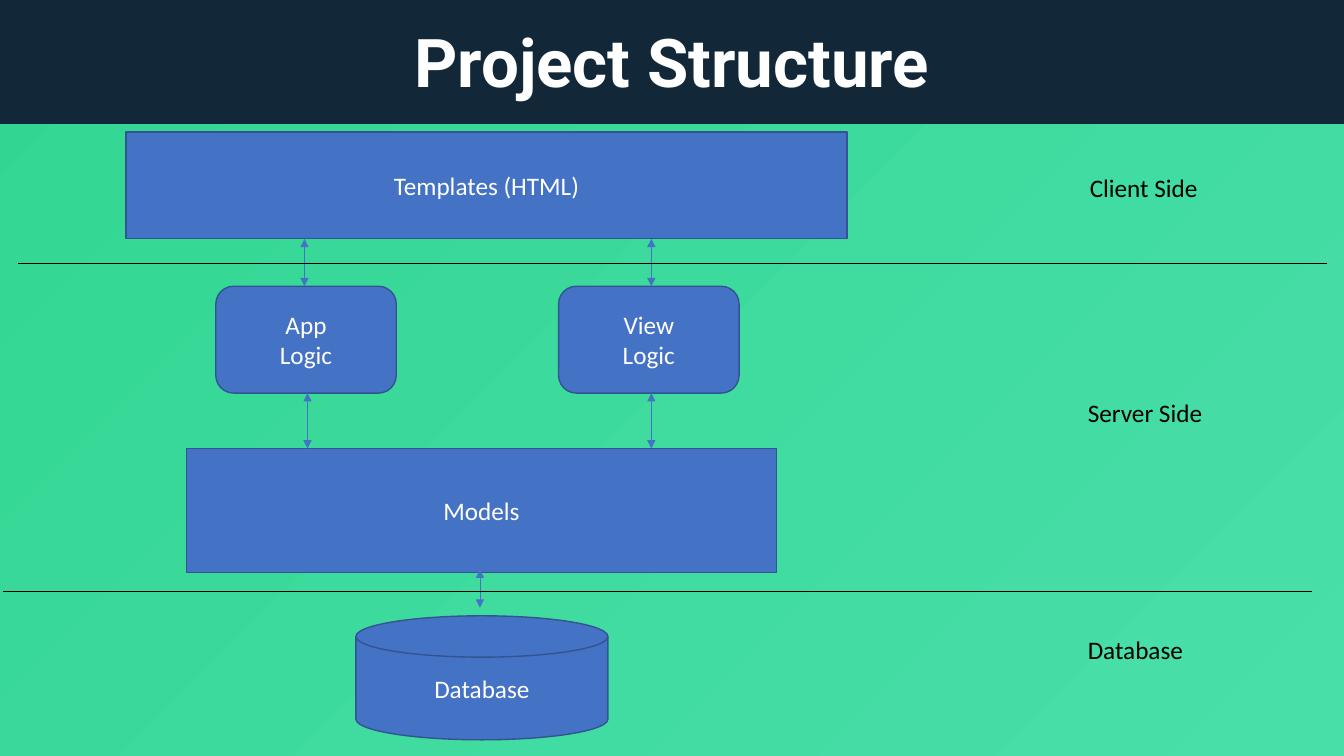
from collections import namedtuple

from lxml.etree import SubElement
from pptx import Presentation
from pptx.dml.color import RGBColor
from pptx.enum.shapes import MSO_CONNECTOR as Connector, MSO_SHAPE as Shape
from pptx.enum.text import MSO_ANCHOR as Anchor, PP_ALIGN as Align
from pptx.oxml.ns import qn
from pptx.util import Inches, Pt

Box = namedtuple("Box", "left top width height")

COLORS = {
    "header": "122839",
    "gradient_start": "32D692",
    "gradient_end": "49DFA9",
    "node": "4472C4",
    "node_line": "325491",
    "white": "FFFFFF",
    "black": "000000",
}

TITLE_FONT = {"name": "Roboto", "size": Pt(48), "bold": True}
BODY_FONT = {"name": "Calibri", "size": Pt(18), "bold": False}


def color(name):
    return RGBColor.from_string(COLORS[name])


def inches(box):
    return [Inches(value) for value in box]


def write_text(shape, text, font_format, font_color, align, anchor):
    frame = shape.text_frame
    frame.word_wrap = True
    frame.vertical_anchor = anchor
    frame.text = text
    for paragraph in frame.paragraphs:
        paragraph.alignment = align
        for run in paragraph.runs:
            for attribute, value in font_format.items():
                setattr(run.font, attribute, value)
            run.font.color.rgb = color(font_color)


def add_block(slide, kind, box, fill, line=None):
    shape = slide.shapes.add_shape(kind, *inches(box))
    shape.shadow.inherit = False
    shape.fill.solid()
    shape.fill.fore_color.rgb = color(fill)
    if line:
        shape.line.color.rgb = color(line)
        shape.line.width = Pt(1)
    else:
        shape.line.fill.background()
    return shape


def add_node(slide, kind, box, text):
    shape = add_block(slide, kind, box, "node", "node_line")
    write_text(shape, text, BODY_FONT, "white", Align.CENTER, Anchor.MIDDLE)


def add_line(slide, start, end, line_color, arrows=False):
    connector = slide.shapes.add_connector(
        Connector.STRAIGHT, *inches(start + end)
    )
    connector.line.color.rgb = color(line_color)
    connector.line.width = Pt(0.5)
    if arrows:
        line = connector.line._get_or_add_ln()
        for end_tag in ("a:headEnd", "a:tailEnd"):
            SubElement(line, qn(end_tag), type="triangle")
    SubElement(connector._element.spPr, qn("a:effectLst"))


def add_arrow(slide, x, top, bottom):
    add_line(slide, (x, top), (x, bottom), "node", arrows=True)


def add_background(slide):
    fill = slide.background.fill
    fill.gradient()
    fill.gradient_angle = 315
    for stop, name in zip(fill.gradient_stops, ("gradient_start", "gradient_end")):
        stop.color.rgb = color(name)


def add_header(slide, box):
    add_block(slide, Shape.RECTANGLE, box, "header")
    margin = 0.92
    title_box = Box(box.left + margin, box.top + 0.24, box.width - 2 * margin, 0.83)
    title = slide.shapes.add_textbox(*inches(title_box))
    write_text(
        title, "Project Structure", TITLE_FONT, "white", Align.CENTER, Anchor.MIDDLE
    )
    title.text_frame.paragraphs[0].line_spacing = 0.9


def add_diagram(slide, box):
    left, top = box.left, box.top
    logic_top, models_top = top + 1.53, top + 3.14
    templates_bottom = top + 1.06
    logic_bottom = logic_top + 1.06
    nodes = [
        (Shape.FLOWCHART_MAGNETIC_DISK, 2.28, top + 4.8, 2.5, 1.23, "Database"),
        (Shape.RECTANGLE, 0.6, models_top, 5.85, 1.23, "Models"),
        (Shape.ROUNDED_RECTANGLE, 4.29, logic_top, 1.79, 1.06, "View\nLogic"),
        (Shape.ROUNDED_RECTANGLE, 0.89, logic_top, 1.79, 1.06, "App\vLogic"),
        (Shape.RECTANGLE, 0, top, box.width, 1.06, "Templates (HTML)"),
    ]
    for kind, x, y, width, height, text in nodes:
        add_node(slide, kind, Box(left + x, y, width, height), text)

    arrows = [
        (1.8, logic_bottom, models_top),
        (5.21, logic_bottom, models_top),
        (3.51, top + 4.34, top + 4.72),
        (1.77, templates_bottom, logic_top),
        (5.21, templates_bottom, logic_top),
    ]
    for x, start, end in arrows:
        add_arrow(slide, left + x, start, end)


def add_tiers(slide, box):
    for x, y in ((0.18, 1.38), (0.03, 4.64)):
        start = box.left + x
        level = box.top + y
        add_line(slide, (start, level), (start + 12.98, level), "black")

    labels = [
        (10.71, 0.43, "Client Side"),
        (10.69, 2.66, "Server Side"),
        (10.69, 5.01, "Database"),
    ]
    for x, y, text in labels:
        label_box = Box(box.left + x, box.top + y, 2.31, 0.4)
        label = slide.shapes.add_textbox(*inches(label_box))
        write_text(label, text, BODY_FONT, "black", Align.LEFT, Anchor.TOP)


def main():
    presentation = Presentation()
    presentation.slide_width = Inches(13.33)
    presentation.slide_height = Inches(7.5)
    slide = presentation.slides.add_slide(presentation.slide_layouts[6])
    add_background(slide)
    add_header(slide, Box(0, 0, 13.33, 1.23))
    add_diagram(slide, Box(1.25, 1.31, 7.15, 6.03))
    add_tiers(slide, Box(0, 1.23, 13.33, 6.27))
    presentation.save("out.pptx")


if __name__ == "__main__":
    main()
